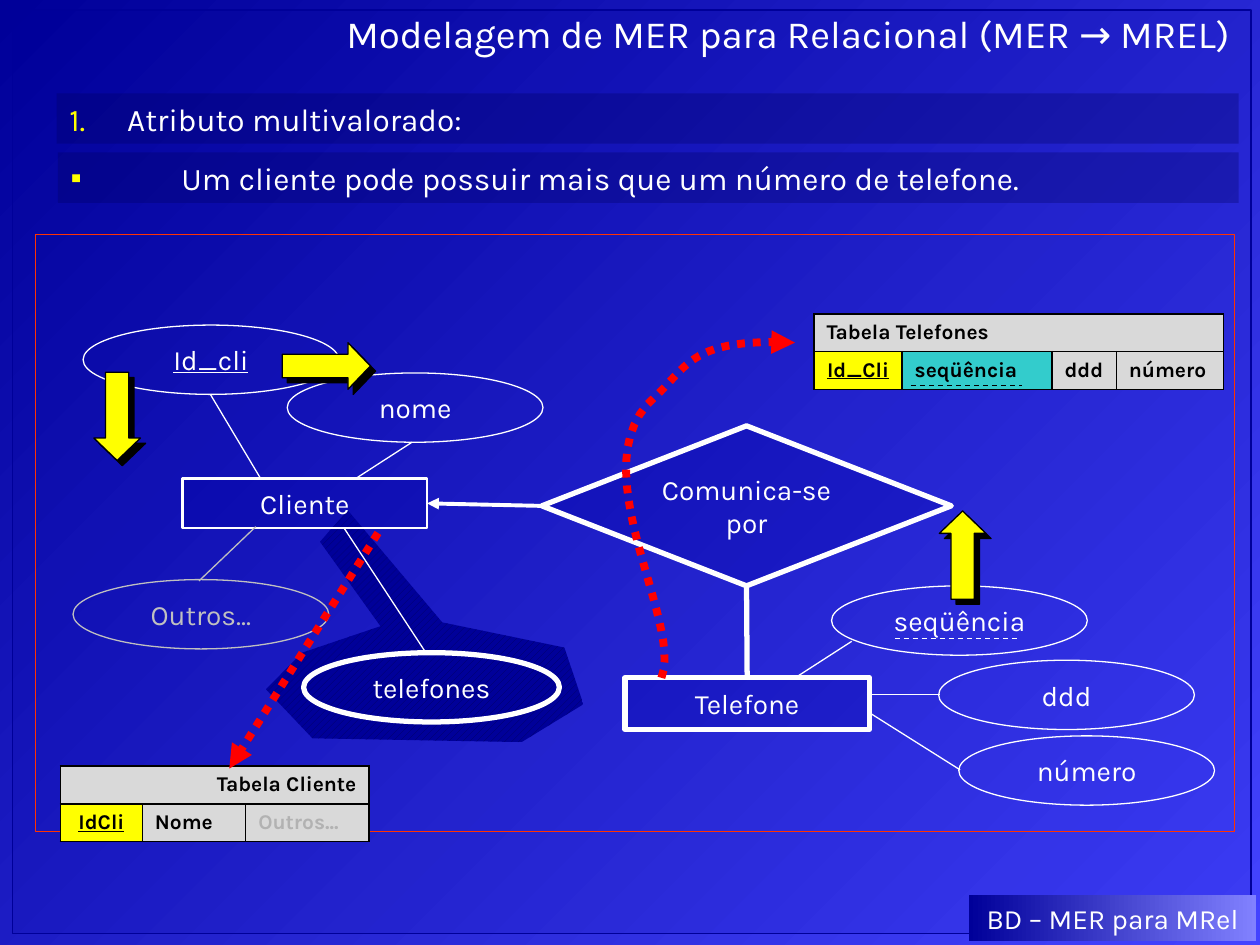
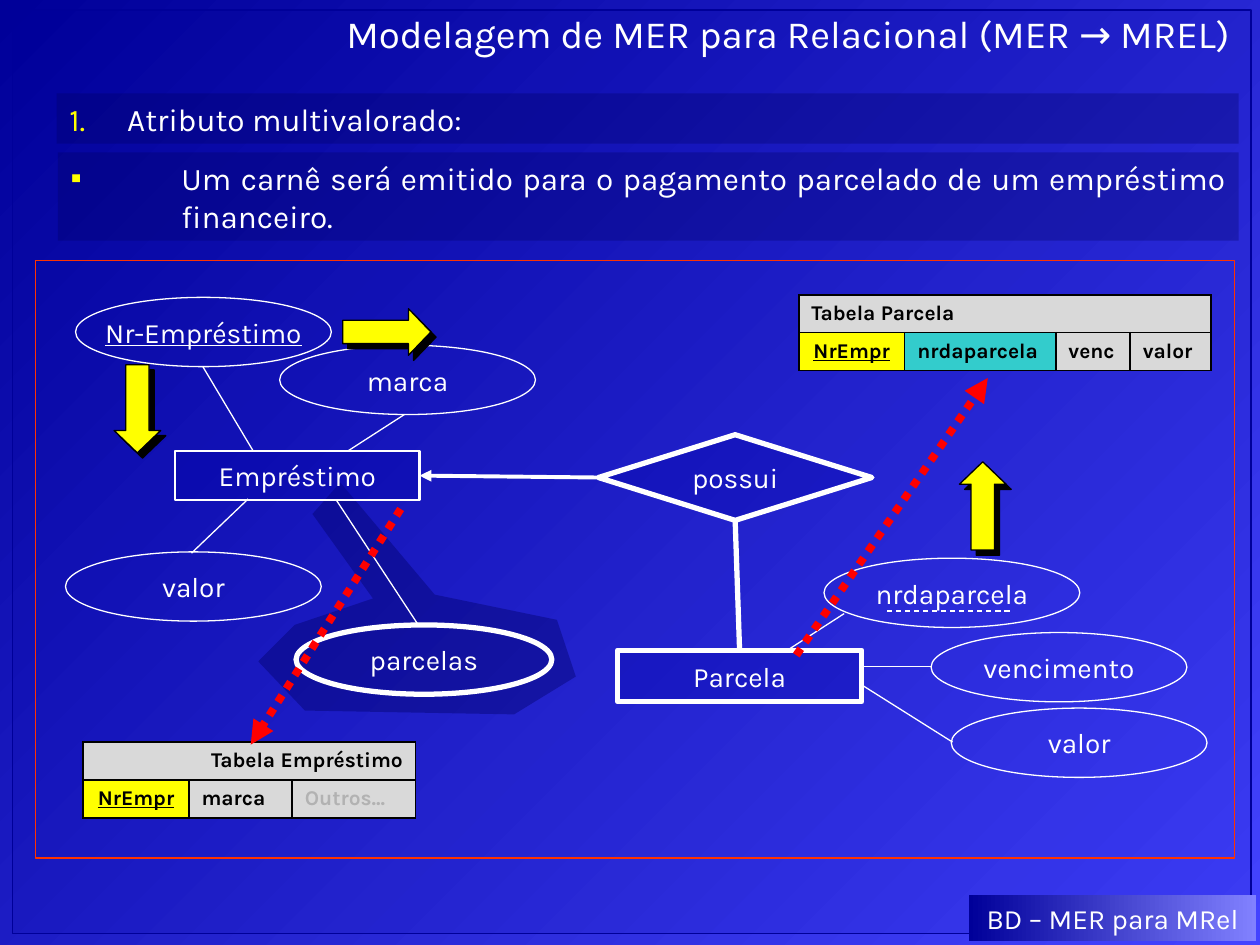
"""Build two slides that map a multivalued attribute to relational tables."""
from lxml import etree
from pptx import Presentation
from pptx.enum.dml import MSO_LINE, MSO_PATTERN
from pptx.enum.shapes import MSO_CONNECTOR, MSO_SHAPE
from pptx.enum.text import MSO_ANCHOR, MSO_AUTO_SIZE, PP_ALIGN
from pptx.dml.color import RGBColor
from pptx.oxml.ns import qn
from pptx.util import Inches, Pt

RECT, OVAL, RHOMB = MSO_SHAPE.RECTANGLE, MSO_SHAPE.OVAL, MSO_SHAPE.DIAMOND
ARROW, STRAIGHT = MSO_SHAPE.RIGHT_ARROW, MSO_CONNECTOR.STRAIGHT
DASH, DOTS, STRIPE = MSO_LINE.DASH, MSO_LINE.ROUND_DOT, MSO_PATTERN.WIDE_UPWARD_DIAGONAL
LEFT, MID, RIGHT, FULL = PP_ALIGN.LEFT, PP_ALIGN.CENTER, PP_ALIGN.RIGHT, PP_ALIGN.JUSTIFY
MIDDLE, FIXED = MSO_ANCHOR.MIDDLE, MSO_AUTO_SIZE.NONE

U = Inches(1) // 100
WIDE, HIGH = 1000, 750
FONT, HEAD = "Karla", "Modelagem de MER para Relacional (MER → MREL)"
WHITE, BLACK, NAVY, DEEP, INK = "FFFFFF", "000000", "000099", "0000A4", "000066"
BAND, RED, FRAME, YELLOW = "000060", "FF0000", "FF3300", "FFFF00"
TEAL, GREY, PALE, DULL = "33CCCC", "D9D9D9", "B2B2B2", "C0C0C0"

OVALS = [(66, 258), (228, 296), (58, 460), (241, 518), (660, 465), (745, 524), (761, 584)]
MULTI = 3
BLOB = [(211, 547), (240, 518), (302, 497), (254, 430), (276, 405), (351, 494),
        (448, 514), (463, 559), (414, 589), (248, 586)]
SPOKES = [((167, 313), (207, 380)), ((327, 351), (282, 380)), ((273, 419), (338, 518)),
          ((689, 565), (762, 611)), ((676, 509), (631, 538)), ((688, 551), (746, 551))]
OTHER = ((203, 418), (158, 461))
UNDER = ((710, 507), (810, 507))

BENDS = [[(525, 538), (543, 493), (457, 367), (521, 314)],
         [(521, 314), (546, 290), (550, 268), (631, 272)]]
STEPS = 24
CURVE = [BENDS[0][0]]
for bend in BENDS:
    for step in range(1, STEPS + 1):
        t = step / STEPS
        share = ((1 - t) ** 3, 3 * t * (1 - t) ** 2, 3 * t * t * (1 - t), t ** 3)
        CURVE.append(tuple(sum(s * p[axis] for s, p in zip(share, bend)) for axis in (0, 1)))

PAGES = [
    dict(shift=(0, 0), note="Um cliente pode possuir mais que um número de telefone.",
         band=40, frame=186, hub="Cliente", bond="Comunica-se por", weak="Telefone",
         rhomb=(430, 338, 325, 127), tint=DULL, blob=("000066", 100, NAVY),
         names=["Id_cli", "nome", "Outros...", "telefones", "seqüência", "ddd", "número"],
         tables=[(48, 608, "Tabela Cliente", RIGHT, (65, 82, 98),
                  ["IdCli", "Nome", "Outros..."]),
                 (646, 249, "Tabela Telefones", LEFT, (70, 119, 51, 85),
                  ["Id_Cli", "seqüência", "ddd", "número"])],
         trails=[[(300, 423), (182, 610)], CURVE], marks=[((723, 306), (811, 306))],
         arrows=[(224, 272, 0), (729, 422, 270), (58, 312, 90)]),
    dict(shift=(-6, -22), band=70, frame=207,
         note="Um carnê será emitido para o pagamento parcelado de um empréstimo financeiro.",
         hub="Empréstimo", bond="possui", weak="Parcela",
         rhomb=(475, 345, 217, 68), tint=WHITE, blob=("000066", 40, None),
         names=["Nr-Empréstimo", "marca", "valor", "parcelas", "nrdaparcela",
                "vencimento", "valor"],
         tables=[(66, 589, "Tabela Empréstimo", RIGHT, (84, 82, 98),
                  ["NrEmpr", "marca", "Outros..."]),
                 (634, 234, "Tabela Parcela", LEFT, (84, 120, 59, 64),
                  ["NrEmpr", "nrdaparcela", "venc", "valor"])],
         trails=[[(318, 404), (199, 591)], [(632, 520), (784, 300)]], marks=[],
         arrows=[(272, 245, 0), (745, 383, 270), (74, 306, 90)]),
]


def paint(item, hue, alpha=100, end=None, turn=None):
    """Fill a shape, line, font, cell or background with a solid, pattern or gradient."""
    fill = item.fill
    if turn is not None:
        fill.gradient()
        fill.gradient_angle = turn
        for stop, tone in zip(fill.gradient_stops, (hue, end)):
            stop.color.rgb = RGBColor.from_string(tone)
        return
    if end:
        fill.patterned()
        fill.pattern = STRIPE
        fill.back_color.rgb = RGBColor.from_string(end)
    else:
        fill.solid()
    fill.fore_color.rgb = RGBColor.from_string(hue)
    if alpha < 100:
        tone = item.element.spPr.find(qn("a:solidFill") + "/" + qn("a:srgbClr"))
        etree.SubElement(tone, qn("a:alpha"), val=str(alpha * 1000))


def write(frame, text, size, hue=WHITE, align=MID):
    """Set one styled paragraph and return it."""
    frame.text = text
    para = frame.paragraphs[0]
    para.alignment = align
    para.font.name, para.font.size = FONT, Pt(size)
    paint(para.font, hue)
    return para


prs = Presentation()
prs.slide_width, prs.slide_height = WIDE * U, HIGH * U
master = prs.slide_master
paint(master.background, NAVY, end="4343FF", turn=315)

for page in PAGES:
    slide = prs.slides.add_slide(prs.slide_layouts[3])
    shapes = slide.shapes
    dx, dy = page["shift"]

    if page is PAGES[0]:
        edge = shapes.add_shape(RECT, 10 * U, 8 * U, 983 * U, 733 * U)
        edge.shadow.inherit = False
        paint(edge, NAVY, 10)
        paint(edge.line, NAVY)
        edge.line.width = Pt(0.75)
        master.shapes.element.insert(2, edge.element)

    title, *bodies = slide.placeholders
    title.left, title.top, title.width, title.height = 86 * U, 11 * U, 900 * U, 38 * U
    title.text_frame.auto_size = FIXED
    title.text_frame.vertical_anchor = MIDDLE
    write(title.text_frame, HEAD, 22, align=RIGHT).line_spacing = 0.75

    lists = [("Atributo multivalorado:", 45, 74, 40, LEFT, 46, "buAutoNum",
              {"type": "arabicPeriod"}),
             (page["note"], 46, 121, page["band"], FULL, 88, "buChar", {"char": "▪"})]
    for body, (text, x, y, tall, align, dent, tag, sign) in zip(bodies, lists):
        body.left, body.top, body.width, body.height = x * U, y * U, (983 - x) * U, tall * U
        paint(body, BAND, 30)
        body.text_frame.auto_size = FIXED
        write(body.text_frame, text, 18, align=align)
        props = body.element.find(".//" + qn("a:pPr"))
        props.set("marL", str(dent * U))
        props.set("indent", str(-dent * U))
        tone = etree.Element(qn("a:buClr"))
        etree.SubElement(tone, qn("a:srgbClr"), val=YELLOW)
        props.insert(0, tone)
        props.insert(1, etree.Element(qn("a:" + tag), sign))

    spots = [(x + dx, y + dy) for x, y in BLOB]
    pen = shapes.build_freeform(*spots[0], scale=U)
    pen.add_line_segments(spots[1:])
    blob = pen.convert_to_shape()
    blob.shadow.inherit = False
    blob.line.fill.background()
    paint(blob, *page["blob"])

    nodes = [(RECT, (28, page["frame"], 952, 474), "", FRAME, 0.75, 0),
             (RECT, (145 + dx, 380 + dy, 194, 39), page["hub"], WHITE, 1.5, 30),
             (RHOMB, page["rhomb"], page["bond"], WHITE, 3, 30),
             (RECT, (496 + dx, 538 + dy, 194, 41), page["weak"], WHITE, 3, 30)]
    for i, ((x, y), name) in enumerate(zip(OVALS, page["names"])):
        nodes.append((OVAL, (x + dx, y + dy, 203, 55), name,
                      page["tint"] if i == 2 else WHITE, 3 if i == MULTI else 0.75, 0))
    drawn = []
    for kind, box, text, hue, thick, alpha in nodes:
        node = shapes.add_shape(kind, *(v * U for v in box))
        node.shadow.inherit = False
        paint(node.line, hue)
        node.line.width = Pt(thick)
        if alpha:
            paint(node, DEEP, alpha)
        else:
            node.fill.background()
        if text:
            node.text_frame.word_wrap = kind != OVAL
            node.text_frame.vertical_anchor = MIDDLE
            write(node.text_frame, text, 16, hue).font.underline = text == page["names"][0]
        drawn.append(node)
    hub, rhomb, weak = drawn[1:4]

    foot = shapes.add_shape(RECT, 769 * U, 710 * U, 228 * U, 37 * U)
    foot.shadow.inherit = False
    foot.line.fill.background()
    paint(foot, NAVY, end="8181FF", turn=0)
    foot.text_frame.vertical_anchor = MIDDLE
    write(foot.text_frame, "BD – MER para MRel", 16)

    for x, y, name, align, cols, fields in page["tables"]:
        grid = shapes.add_table(2, len(cols), x * U, y * U, sum(cols) * U, 60 * U)
        table = grid.table
        for row in table.rows:
            row.height = 30 * U
        for i, (col, field) in enumerate(zip(cols, fields)):
            table.columns[i].width = col * U
            paint(table.cell(0, i), GREY)
            cell = table.cell(1, i)
            paint(cell, YELLOW if i == 0 else TEAL if i == 1 and len(cols) == 4 else GREY)
            cell.vertical_anchor = MIDDLE
            para = write(cell.text_frame, field, 12,
                         PALE if field == "Outros..." else BLACK, FULL if i else MID)
            para.font.bold, para.font.underline = True, i == 0
        table.cell(0, 0).merge(table.cell(0, len(cols) - 1))
        write(table.cell(0, 0).text_frame, name, 12, BLACK, align).font.bold = True
        for props in grid.element.iter(qn("a:tcPr")):
            for i, side in enumerate(("lnL", "lnR", "lnT", "lnB")):
                rule = etree.Element(qn("a:" + side), w=str(Pt(1)))
                solid = etree.SubElement(rule, qn("a:solidFill"))
                etree.SubElement(solid, qn("a:srgbClr"), val=BLACK)
                props.insert(i, rule)

    lines = [([(x + dx, y + dy) for x, y in ends], hue, 0.75, dash, False)
             for ends, hue, dash in [(s, WHITE, None) for s in SPOKES]
             + [(OTHER, page["tint"], None), (UNDER, WHITE, DASH)]]
    lines += [(ends, BLACK, 0.75, DASH, False) for ends in page["marks"]]
    lines += [(ends, RED, 4.5, DOTS, True) for ends in page["trails"]]
    strokes = []
    for ends, *look in lines:
        if len(ends) == 2:
            stroke = shapes.add_connector(STRAIGHT, *(v * U for spot in ends for v in spot))
        else:
            spots = [(x * 100, y * 100) for x, y in ends]
            pen = shapes.build_freeform(*spots[0], scale=U / 100)
            pen.add_line_segments(spots[1:], close=False)
            stroke = pen.convert_to_shape()
            stroke.fill.background()
        strokes.append((stroke, *look))
    for goal, start, stop, thick, tip in [(hub, 1, 3, 2.25, True), (weak, 2, 0, 3, False)]:
        stroke = shapes.add_connector(STRAIGHT, 0, 0, 0, 0)
        stroke.begin_connect(rhomb, start)
        stroke.end_connect(goal, stop)
        strokes.append((stroke, WHITE, thick, None, tip))
    for stroke, hue, thick, dash, tip in strokes:
        paint(stroke.line, hue)
        stroke.line.width = Pt(thick)
        if dash:
            stroke.line.dash_style = dash
        props = stroke.element.spPr
        if tip:
            etree.SubElement(props.find(qn("a:ln")), qn("a:tailEnd"), type="triangle")
        etree.SubElement(props, qn("a:effectLst"))

    for x, y, turn in page["arrows"]:
        arrow = shapes.add_shape(ARROW, x * U, y * U, 70 * U, 37 * U)
        arrow.rotation = turn
        arrow.adjustments[1] = 0.48
        paint(arrow, YELLOW)
        paint(arrow.line, BLACK)
        arrow.line.width = Pt(0.75)
        arrow.shadow.inherit = False
        shade = etree.SubElement(arrow.element.spPr.find(qn("a:effectLst")), qn("a:outerShdw"),
                                 dist=str(Pt(4.2)), dir="2700000", rotWithShape="0")
        etree.SubElement(shade, qn("a:srgbClr"), val=BLACK)

prs.save("out.pptx")
